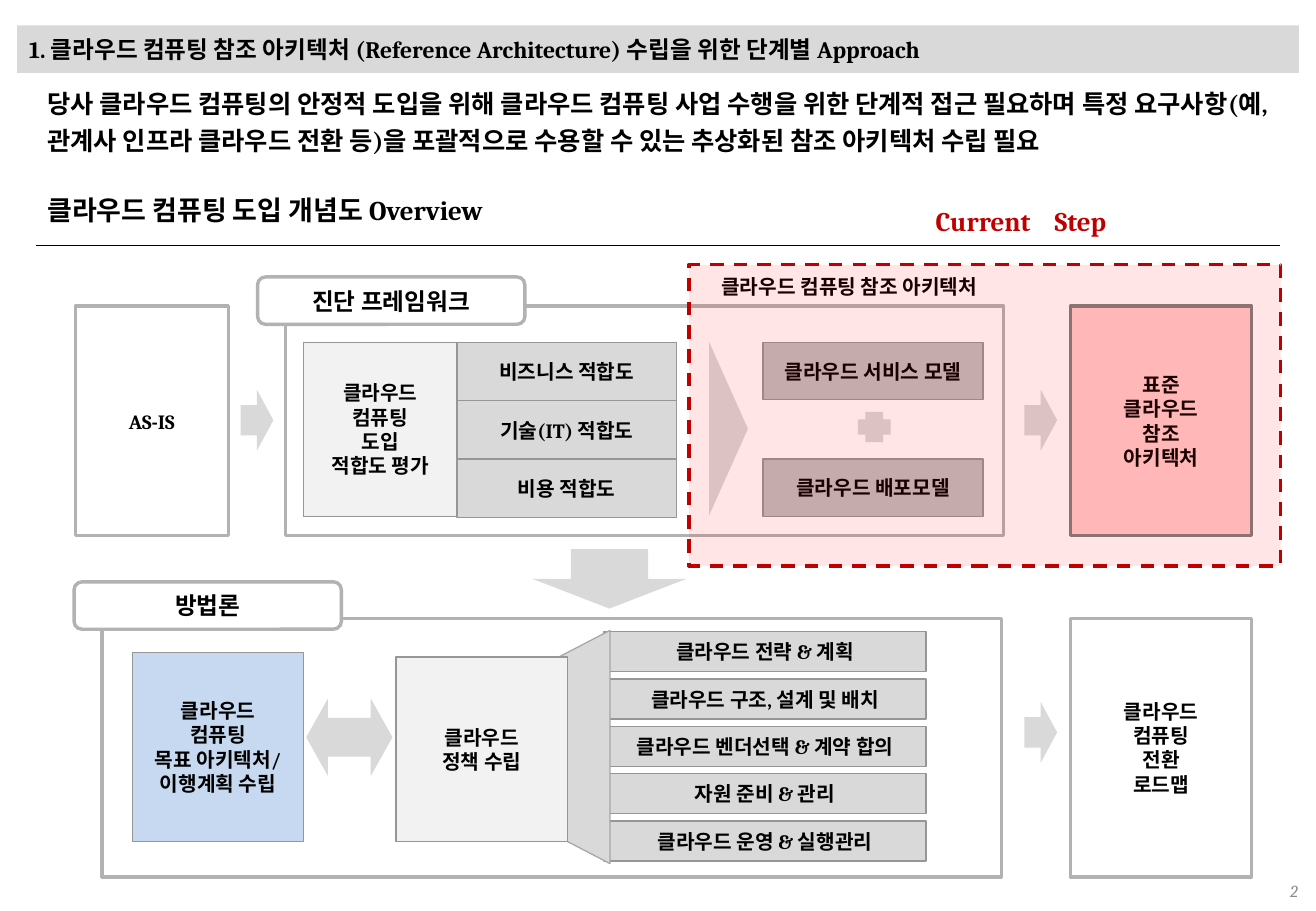
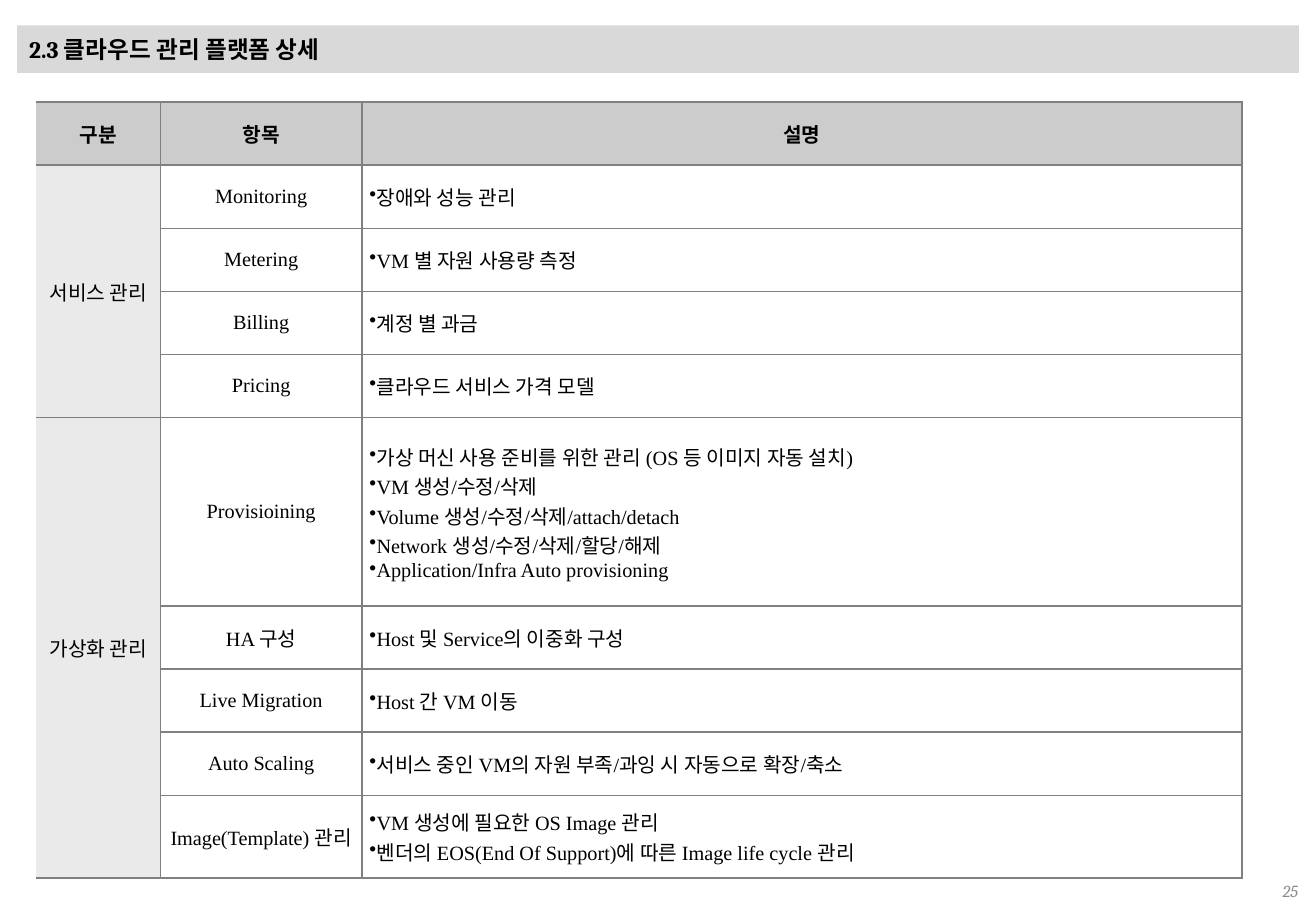
from lxml import etree
from pptx import Presentation
from pptx.dml.color import RGBColor
from pptx.enum.dml import MSO_LINE
from pptx.enum.shapes import MSO_CONNECTOR, MSO_SHAPE
from pptx.enum.text import MSO_ANCHOR, MSO_AUTO_SIZE, PP_ALIGN
from pptx.oxml.ns import qn
from pptx.util import Inches, Pt

LEFT, CENTER, RIGHT = PP_ALIGN.LEFT, PP_ALIGN.CENTER, PP_ALIGN.RIGHT
TOP, MIDDLE = MSO_ANCHOR.TOP, MSO_ANCHOR.MIDDLE
FIXED_SIZE = MSO_AUTO_SIZE.NONE
RECT, ROUNDED = MSO_SHAPE.RECTANGLE, MSO_SHAPE.ROUNDED_RECTANGLE
ARROW, TWO_WAY = MSO_SHAPE.RIGHT_ARROW, MSO_SHAPE.LEFT_RIGHT_ARROW
TRIANGLE, TRAPEZOID = MSO_SHAPE.ISOSCELES_TRIANGLE, MSO_SHAPE.TRAPEZOID
PLUS, STRAIGHT, DASH = MSO_SHAPE.CROSS, MSO_CONNECTOR.STRAIGHT, MSO_LINE.DASH

BLACK = RGBColor(0x00, 0x00, 0x00)
WHITE = RGBColor(0xFF, 0xFF, 0xFF)
BAND = RGBColor(0xD9, 0xD9, 0xD9)
PALE = RGBColor(0xF2, 0xF2, 0xF2)
MODEL = RGBColor(0xBF, 0xBF, 0xBF)
FRAME = RGBColor(0xB2, 0xB2, 0xB2)
EDGE = RGBColor(0x96, 0x96, 0x96)
FAN_EDGE = RGBColor(0xA6, 0xA6, 0xA6)
GRID = RGBColor(0x80, 0x80, 0x80)
HEADER = RGBColor(0xCC, 0xCC, 0xCC)
GROUP = RGBColor(0xEA, 0xEA, 0xEA)
BLUE = RGBColor(0xC6, 0xD9, 0xF1)
PINK = RGBColor(0xFF, 0xCC, 0xCC)
RED = RGBColor(0xFF, 0x00, 0x00)
DARK_RED = RGBColor(0xC0, 0x00, 0x00)
PAGE_GRAY = RGBColor(0x8C, 0x8C, 0x8C)
SERIF, TABLE_FONT = "Cambria", "Times New Roman"


class Deck:
    def __init__(self):
        self.prs = Presentation()
        self.prs.slide_width = Inches(10.83)
        self.prs.slide_height = Inches(7.5)

    def add_slide(self, title, page):
        self.slide = self.prs.slides.add_slide(self.prs.slide_layouts[5])
        band = self.slide.shapes.title
        band.left, band.top, band.width, band.height = map(Inches, (0.14, 0.21, 10.55, 0.39))
        band.fill.solid()
        band.fill.fore_color.rgb = BAND
        self.put_text(band, title, 14, align=LEFT)
        self.label(page, (8.25, 7.21, 2.53, 0.24), 10, color=PAGE_GRAY,
                   align=RIGHT, bold=False, italic=True)

    def runs(self, frame, text, size, font=SERIF, color=BLACK, align=CENTER,
             bold=True, italic=False, spacing=None):
        for i, line in enumerate(text.split("\n")):
            paragraph = frame.paragraphs[0] if i == 0 else frame.add_paragraph()
            paragraph.alignment = align
            if spacing:
                paragraph.line_spacing = spacing
            run = paragraph.add_run()
            run.text = line
            run.font.name, run.font.size = font, Pt(size)
            run.font.bold, run.font.italic = bold, italic
            run.font.color.rgb = color

    def put_text(self, shape, text, size, inset=(0.1, 0.05), anchor=MIDDLE, wrap=True, **style):
        frame = shape.text_frame
        frame.auto_size = FIXED_SIZE
        frame.word_wrap = wrap
        frame.vertical_anchor = anchor
        frame.margin_left = frame.margin_right = Inches(inset[0])
        frame.margin_top = frame.margin_bottom = Inches(inset[1])
        self.runs(frame, text, size, **style)

    def label(self, text, at, size, **style):
        box = self.slide.shapes.add_textbox(*map(Inches, at))
        self.put_text(box, text, size, **style)
        return box

    def shape(self, kind, at, fill, edge=None, weight=0.75, rotation=0, adjust=()):
        shape = self.slide.shapes.add_shape(kind, *map(Inches, at))
        shape.shadow.inherit = False
        shape.rotation = rotation
        shape.fill.solid()
        shape.fill.fore_color.rgb = fill
        if edge is None:
            shape.line.fill.background()
        else:
            shape.line.color.rgb = edge
            shape.line.width = Pt(weight)
        for i, value in enumerate(adjust):
            shape.adjustments[i] = value
        return shape

    def box(self, text, at, fill, edge=EDGE, weight=0.75):
        self.put_text(self.shape(RECT, at, fill, edge, weight), text, 12,
                      inset=(0.09, 0.05), wrap=False)

    def frame(self, at, text="", fill=WHITE, edge=FRAME):
        if text:
            self.box(text, at, fill, edge, 2)
        else:
            self.shape(RECT, at, fill, edge, 2)

    def tab(self, text, left, top):
        shape = self.shape(ROUNDED, (left, top, 2.2, 0.39), WHITE, FRAME, 2)
        self.put_text(shape, text, 14, font=TABLE_FONT)

    def rule(self, left, right, y):
        line = self.slide.shapes.add_connector(
            STRAIGHT, Inches(left), Inches(y), Inches(right), Inches(y))
        line.line.color.rgb = BLACK
        line.line.width = Pt(0.75)
        etree.SubElement(line._element.spPr, qn("a:effectLst"))

    def highlight(self, at):
        zone = self.shape(RECT, at, RED, DARK_RED, 2)
        zone.line.dash_style = DASH
        color = zone._element.spPr.find(qn("a:solidFill"))[0]
        etree.SubElement(color, qn("a:alpha"), val="10000")

    def borders(self, cell, first):
        props = cell._tc.get_or_add_tcPr()
        for i, side in enumerate(("lnL", "lnR", "lnT", "lnB")):
            line = etree.Element(qn("a:" + side), w=str(Pt(1)))
            if side == "lnL" and first:
                etree.SubElement(line, qn("a:noFill"))
            else:
                solid = etree.SubElement(line, qn("a:solidFill"))
                etree.SubElement(solid, qn("a:srgbClr"), val=str(GRID))
            props.insert(i, line)

    def cell(self, cell, text, fill, first, bold=False, bullets=False):
        if fill is None:
            cell.fill.background()
        else:
            cell.fill.solid()
            cell.fill.fore_color.rgb = fill
        self.borders(cell, first)
        cell.vertical_anchor = MIDDLE
        cell.margin_left = cell.margin_right = Inches(0.06)
        cell.margin_top = cell.margin_bottom = Inches(0.04)
        if not text:
            return
        self.runs(cell.text_frame, text, 12, font=TABLE_FONT, bold=bold,
                  align=LEFT if bullets else CENTER)
        if bullets:
            for paragraph in cell.text_frame.paragraphs:
                props = paragraph._p.get_or_add_pPr()
                props.set("marL", "0")
                props.set("indent", str(-Inches(0.19)))
                etree.SubElement(props, qn("a:buChar"), char="•")

    def table(self, at, widths, heights, headers, groups):
        count = 1 + sum(len(items) for _, items in groups)
        table = self.slide.shapes.add_table(count, len(widths), *map(Inches, at)).table
        for column, width in zip(table.columns, widths):
            column.width = Inches(width)
        for row, height in zip(table.rows, heights):
            row.height = Inches(height)
        for c, header in enumerate(headers):
            self.cell(table.cell(0, c), header, HEADER, c == 0, bold=True)
        r = 1
        for group, items in groups:
            table.cell(r, 0).merge(table.cell(r + len(items) - 1, 0))
            for i, (item, description) in enumerate(items):
                self.cell(table.cell(r, 0), "" if i else group, GROUP, True)
                self.cell(table.cell(r, 1), item, WHITE, False)
                self.cell(table.cell(r, 2), description, None, False, bullets=True)
                r += 1


deck = Deck()

deck.add_slide("1. 클라우드 컴퓨팅 참조 아키텍처 (Reference Architecture) 수립을 위한 단계별 Approach", "2")
deck.label("클라우드 컴퓨팅 도입 개념도 Overview", (0.31, 1.55, 4.21, 0.39), 16,
           inset=(0.08, 0.08), align=LEFT, spacing=0.9)
deck.label("당사 클라우드 컴퓨팅의 안정적 도입을 위해 클라우드 컴퓨팅 사업 수행을 위한 단계적 접근 필요하며 "
           "특정 요구사항(예, 관계사 인프라 클라우드 전환 등)을 포괄적으로 수용할 수 있는 "
           "추상화된 참조 아키텍처 수립 필요",
           (0.31, 0.6, 10.23, 0.81), 15, inset=(0.08, 0.08), anchor=TOP, align=LEFT, spacing=1.2)
deck.rule(0.3, 10.53, 2.02)

deck.frame((0.62, 2.52, 1.26, 1.89), "AS-IS")
deck.frame((2.35, 2.52, 5.91, 1.89))
deck.label("클라우드 컴퓨팅 참조 아키텍처", (5.1, 2.21, 3.78, 0.3), 12, anchor=TOP)
deck.box("클라우드\n컴퓨팅\n도입\n적합도 평가", (2.5, 2.82, 1.26, 1.43), PALE)
for i, criterion in enumerate(("비즈니스 적합도", "기술(IT) 적합도", "비용 적합도")):
    deck.box(criterion, (3.76, 2.82 + 0.48 * i, 1.81, 0.48), BAND)
deck.shape(TRIANGLE, (5.28, 3.37, 1.43, 0.32), BAND, rotation=90)
for model, top in (("클라우드 서비스 모델", 2.82), ("클라우드 배포모델", 3.78)):
    deck.box(model, (6.28, top, 1.81, 0.47), MODEL)
deck.shape(PLUS, (7.06, 3.39, 0.27, 0.25), BAND)
deck.frame((8.81, 2.52, 1.49, 1.89), "표준\n클라우드\n참조\n아키텍처", PINK, GRID)
deck.tab("진단 프레임워크", 2.12, 2.28)

deck.frame((0.84, 5.09, 7.4, 2.13))
deck.frame((8.81, 5.09, 1.49, 2.13), "클라우드\n컴퓨팅\n전환\n로드맵")
deck.box("클라우드\n컴퓨팅\n목표 아키텍처/\n이행계획 수립", (1.09, 5.37, 1.41, 1.56), BLUE)
deck.tab("방법론", 0.61, 4.79)
policies = ("클라우드 전략 & 계획", "클라우드 구조, 설계 및 배치", "클라우드 벤더선택 & 계약 합의",
            "자원 준비 & 관리", "클라우드 운영 & 실행관리")
for i, policy in enumerate(policies):
    deck.box(policy, (4.97, 5.2 + 0.39 * i, 2.65, 0.33), BAND)
for left, top in ((1.98, 3.21), (8.43, 3.21), (8.43, 5.78)):
    deck.shape(ARROW, (left, top, 0.27, 0.5), BAND)
deck.shape(TWO_WAY, (2.52, 5.75, 0.71, 0.64), BAND, adjust=(0.5, 0.28))
deck.shape(TRAPEZOID, (3.81, 5.9, 1.92, 0.5), BAND, FAN_EDGE, rotation=270, adjust=(0.52,))
deck.box("클라우드\n정책 수립", (3.26, 5.41, 1.41, 1.52), PALE)
deck.shape(ARROW, (4.77, 4.13, 0.49, 1.27), BAND, rotation=90)
deck.highlight((5.67, 2.18, 4.87, 2.48))
step = deck.label("Current\tStep", (7.62, 1.64, 2.83, 0.39), 16, inset=(0.08, 0.08),
                  color=DARK_RED, align=LEFT, spacing=0.9)
tabs = etree.SubElement(step.text_frame.paragraphs[0]._p.get_or_add_pPr(), qn("a:tabLst"))
etree.SubElement(tabs, qn("a:tab"), pos=str(Inches(0.98)), algn="l")

deck.add_slide("2.3 클라우드 관리 플랫폼 상세", "25")
service = (
    ("Monitoring", "장애와 성능 관리"),
    ("Metering", "VM 별 자원 사용량 측정"),
    ("Billing", "계정 별 과금"),
    ("Pricing", "클라우드 서비스 가격 모델"),
)
virtualization = (
    ("Provisioining", "가상 머신 사용 준비를 위한 관리 (OS 등 이미지 자동 설치)\n"
     "VM 생성/수정/삭제\nVolume 생성/수정/삭제/attach/detach\n"
     "Network 생성/수정/삭제/할당/해제\nApplication/Infra Auto provisioning"),
    ("HA 구성", "Host 및 Service의 이중화 구성"),
    ("Live Migration", "Host 간 VM 이동"),
    ("Auto Scaling", "서비스 중인 VM의 자원 부족/과잉 시 자동으로 확장/축소"),
    ("Image(Template) 관리", "VM 생성에 필요한 OS Image 관리\n"
     "벤더의 EOS(End Of Support)에 따른 Image life cycle 관리"),
)
deck.table((0.3, 0.84, 9.92, 6.38), (1.02, 1.66, 7.24),
           [0.52] * 5 + [1.55] + [0.52] * 3 + [0.68], ("구분", "항목", "설명"),
           (("서비스 관리", service), ("가상화 관리", virtualization)))

deck.prs.save("out.pptx")
